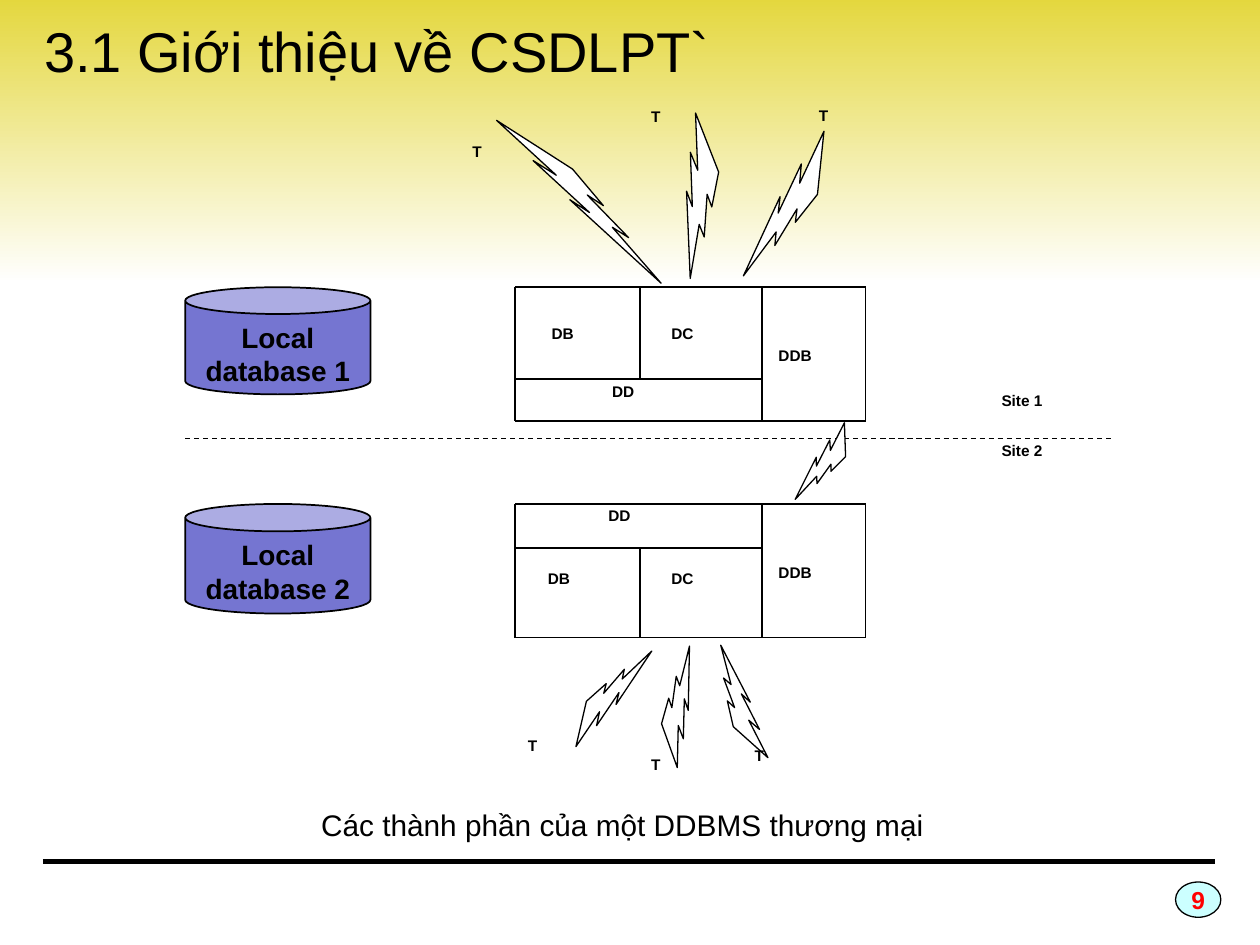
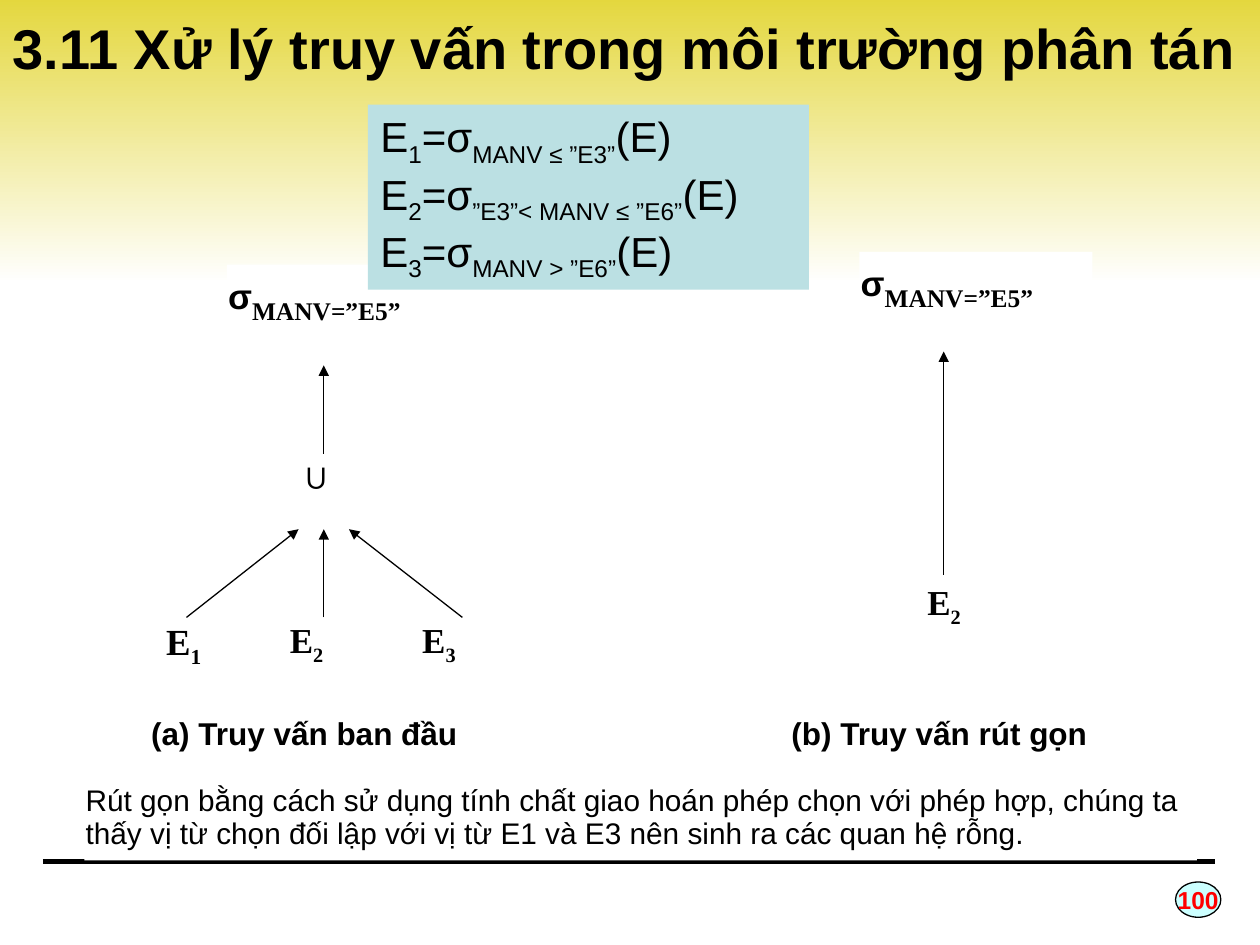
from dataclasses import dataclass

import pptx
import pptx.dml.color
import pptx.enum.dml
import pptx.enum.shapes
import pptx.enum.text
import pptx.oxml
import pptx.util
from pptx.oxml import ns

Inches = pptx.util.Inches
Pt = pptx.util.Pt
Shape = pptx.enum.shapes.MSO_SHAPE
Align = pptx.enum.text.PP_ALIGN
Anchor = pptx.enum.text.MSO_ANCHOR
rgb = pptx.dml.color.RGBColor.from_string


@dataclass(frozen=True)
class Theme:
    ink: object = rgb("000000")
    paper: object = rgb("FFFFFF")
    band: object = rgb("E3D638")
    badge: object = rgb("CCFFFF")
    number: object = rgb("FF0000")
    database: object = rgb("7575D1")
    formula: object = rgb("BBE0E3")
    sans: str = "Arial"
    serif: str = "Times New Roman"
    title_size: float = 32
    formula_size: float = 24
    node_size: float = 20
    caption_size: float = 18
    body_size: float = 17
    database_size: float = 16
    badge_size: float = 14
    label_size: float = 8.8
    thin: float = 0.75
    outline: float = 1
    thick: float = 3


theme = Theme()


def write(shape, lines, size, bold=False, font=theme.sans, color=theme.ink, align=Align.LEFT,
          anchor=Anchor.TOP, inset=(0.1, 0.05), spacing=None, sub_font=None, sub_size=None):
    """Fill a shape with text; every second part between bars is a subscript."""
    frame = shape.text_frame
    frame.word_wrap = True
    frame.auto_size = pptx.enum.text.MSO_AUTO_SIZE.NONE
    frame.vertical_anchor = anchor
    frame.margin_left = frame.margin_right = Inches(inset[0])
    frame.margin_top = frame.margin_bottom = Inches(inset[1])
    for index, line in enumerate(lines):
        paragraph = frame.paragraphs[0] if index == 0 else frame.add_paragraph()
        paragraph.alignment = align
        paragraph.line_spacing = spacing
        for position, part in enumerate(line.split("|")):
            run = paragraph.add_run()
            run.text = part
            subscript = position % 2 == 1
            run.font.name = sub_font if subscript and sub_font else font
            run.font.size = Pt(sub_size if subscript and sub_size else size)
            run.font.bold = bold
            run.font.color.rgb = color
            if subscript:
                run.font._element.set("baseline", "-25000")


def draw_line(slide, start, end, width, dashed=False, arrow=False):
    line = slide.shapes.add_connector(pptx.enum.shapes.MSO_CONNECTOR.STRAIGHT,
                                      *map(Inches, start + end))
    line.line.color.rgb = theme.ink
    line.line.width = Pt(width)
    if dashed:
        line.line.dash_style = pptx.enum.dml.MSO_LINE.DASH
    properties = line._element.spPr
    if arrow:
        properties.find(ns.qn("a:ln")).append(
            pptx.oxml.parse_xml(f'<a:tailEnd {ns.nsdecls("a")} type="triangle"/>'))
    properties.append(pptx.oxml.parse_xml(f'<a:effectLst {ns.nsdecls("a")}/>'))


presentation = pptx.Presentation()
presentation.slide_width = Inches(10)
presentation.slide_height = Inches(7.5)

# Shared frame: title, gradient band, footer rule, page badge
pages = [
    ("3.1 Giới thiệu về CSDLPT`", (0.25, 0.08, 6.17, 0.64), False, "9"),
    ("3.11 Xử lý truy vấn trong môi trường phân tán", (0, 0.08, 10, 0.59), True, "100"),
]
for heading, place, bold, number in pages:
    slide = presentation.slides.add_slide(presentation.slide_layouts[5])
    title = slide.shapes.title
    title.left, title.top, title.width, title.height = map(Inches, place)
    write(title, [heading], theme.title_size, bold, anchor=Anchor.MIDDLE)

    band = slide.shapes.add_shape(Shape.RECTANGLE, *map(Inches, (0, -0.08, 10, 2.33)))
    band.shadow.inherit = False
    band.line.fill.background()
    band.fill.gradient()
    band.fill.gradient_angle = 270
    for stop, color, position in zip(band.fill.gradient_stops, (theme.band, theme.paper), (0, 1)):
        stop.color.rgb = color
        stop.position = position
    title._element.addprevious(band._element)

    draw_line(slide, (0.34, 6.84), (9.64, 6.84), theme.thick)
    badge = slide.shapes.add_shape(Shape.OVAL, *map(Inches, (9.33, 7, 0.36, 0.28)))
    badge.shadow.inherit = False
    badge.fill.solid()
    badge.fill.fore_color.rgb = theme.badge
    badge.line.color.rgb = theme.ink
    badge.line.width = Pt(theme.thin)
    write(badge, [number], theme.badge_size, True, color=theme.number,
          align=Align.CENTER, anchor=Anchor.MIDDLE)
    badge.text_frame.word_wrap = False

architecture, query = presentation.slides

# Slide 1: the two sites, each a local database and a divided component box
left, split, divide, right = 4.09, 5.08, 6.05, 6.87
sites = [
    ("Local database 1", 2.28, 0.85, 3.01, (2.28, 3.01)),
    ("Local database 2", 4, 0.87, 4.35, (4.35, 5.06)),
]
for name, top, database_height, shelf, split_span in sites:
    database = architecture.shapes.add_shape(
        Shape.CAN, *map(Inches, (1.47, top, 1.47, database_height)))
    database.shadow.inherit = False
    database.fill.solid()
    database.fill.fore_color.rgb = theme.database
    database.line.color.rgb = theme.ink
    database.line.width = Pt(theme.outline)
    write(database, [name], theme.database_size, True, align=Align.CENTER)

    bottom = top + 1.06
    for y in (top, bottom):
        draw_line(architecture, (left, y), (right, y), theme.outline)
    for x in (left, divide, right):
        draw_line(architecture, (x, top), (x, bottom), theme.outline)
    draw_line(architecture, (left, shelf), (divide, shelf), theme.outline)
    draw_line(architecture, (split, split_span[0]), (split, split_span[1]), theme.outline)

draw_line(architecture, (1.47, 3.48), (8.83, 3.48), theme.thin, dashed=True)

# Communication bolts
bolts = [
    (3.7, 1.43, 1.82, 0.3, 37),
    (4.9, 1.34, 1.27, 0.41, 77),
    (5.62, 1.42, 1.27, 0.41, 104.3),
    (6.2, 3.5, 0.67, 0.33, 100.7),
    (4.93, 5.45, 0.93, 0.33, 259.5),
    (4.38, 5.37, 0.93, 0.33, 292.2),
    (5.42, 5.42, 0.93, 0.33, 231),
]
for *place, angle in bolts:
    bolt = architecture.shapes.add_shape(Shape.LIGHTNING_BOLT, *map(Inches, place))
    bolt.shadow.inherit = False
    bolt.rotation = angle
    bolt.fill.solid()
    bolt.fill.fore_color.rgb = theme.paper
    bolt.line.color.rgb = theme.ink
    bolt.line.width = Pt(theme.thin)

# Component, terminal and site labels
labels = [
    ("DB", 4.28, 2.55), ("DC", 5.23, 2.55), ("DDB", 6.08, 2.73), ("DD", 4.76, 3.01),
    ("DB", 4.25, 4.5), ("DC", 5.23, 4.5), ("DDB", 6.08, 4.45), ("DD", 4.73, 4),
    ("T", 3.65, 1.11), ("T", 5.07, 0.83), ("T", 6.4, 0.82),
    ("T", 4.09, 5.82), ("T", 5.07, 5.97), ("T", 5.89, 5.9),
    ("Site 1", 7.85, 3.08), ("Site 2", 7.85, 3.48),
]
label_widths = {"T": 0.49, "DDB": 0.79, "Site 1": 0.98, "Site 2": 0.98}
for text, x, y in labels:
    label = architecture.shapes.add_textbox(
        *map(Inches, (x, y, label_widths.get(text, 0.68), 0.26)))
    write(label, [text], theme.label_size, True, spacing=0.8)

caption = architecture.shapes.add_textbox(*map(Inches, (2.45, 6.35, 5.56, 0.39)))
write(caption, ["Các thành phần của một DDBMS thương mại"], theme.body_size)

# Slide 2: tree nodes, captions and explanation on white panels
selection = dict(size=theme.node_size, bold=True, sub_font=theme.serif, sub_size=25)
relation = dict(size=theme.node_size, bold=True, font=theme.serif)
tree_caption = dict(size=theme.caption_size, bold=True, align=Align.CENTER)
panels = [
    ("σ|MANV=”E5”", (1.8, 2.1, 2.19, 0.8), selection),
    ("σ|MANV=”E5”", (6.82, 2, 1.85, 0.8), selection),
    ("∪", (2.19, 3.6, 0.57, 0.6), dict(size=theme.node_size, bold=True, inset=(0.22, 0.01))),
    ("E|1", (1.31, 4.9, 0.57, 0.6), {**relation, "size": 21}),
    ("E|2", (2.29, 4.9, 0.57, 0.6), relation),
    ("E|3", (3.34, 4.9, 0.65, 0.67), relation),
    ("E|2", (7.35, 4.6, 0.57, 0.6), relation),
    ("(a) Truy vấn ban đầu", (0.67, 5.66, 3.49, 0.6), tree_caption),
    ("(b) Truy vấn rút gọn", (5.71, 5.66, 3.49, 0.6), tree_caption),
    ("Rút gọn bằng cách sử dụng tính chất giao hoán phép chọn với phép hợp, chúng ta thấy "
     "vị từ chọn đối lập với vị từ E1 và E3 nên sinh ra các quan hệ rỗng.",
     (0.67, 6.23, 8.83, 0.6), dict(size=theme.body_size, spacing=0.9)),
]
for text, place, style in panels:
    panel = query.shapes.add_shape(Shape.RECTANGLE, *map(Inches, place))
    panel.shadow.inherit = False
    panel.fill.solid()
    panel.fill.fore_color.rgb = theme.paper
    panel.line.fill.background()
    write(panel, [text], **{"inset": (0.01, 0.01), **style})

# Arrows from each operand up to its operator
arrows = [
    ((2.57, 3.6), (2.57, 2.9)),
    ((2.57, 4.9), (2.57, 4.2)),
    ((3.67, 4.9), (2.77, 4.2)),
    ((1.48, 4.9), (2.37, 4.2)),
    ((7.49, 4.56), (7.49, 2.79)),
]
for operand, operator in arrows:
    draw_line(query, operand, operator, theme.thin, arrow=True)

# Fragment definitions
fragments = query.shapes.add_shape(Shape.RECTANGLE, *map(Inches, (2.92, 0.83, 3.5, 1.47)))
fragments.shadow.inherit = False
fragments.fill.solid()
fragments.fill.fore_color.rgb = theme.formula
fragments.line.fill.background()
conditions = ["MANV ≤ ”E3”", "”E3”< MANV ≤ ”E6”", "MANV > ”E6”"]
write(fragments, [f"E|{index}|=σ|{condition}|(E)" for index, condition in enumerate(conditions, 1)],
      theme.formula_size)

presentation.save("out.pptx")
